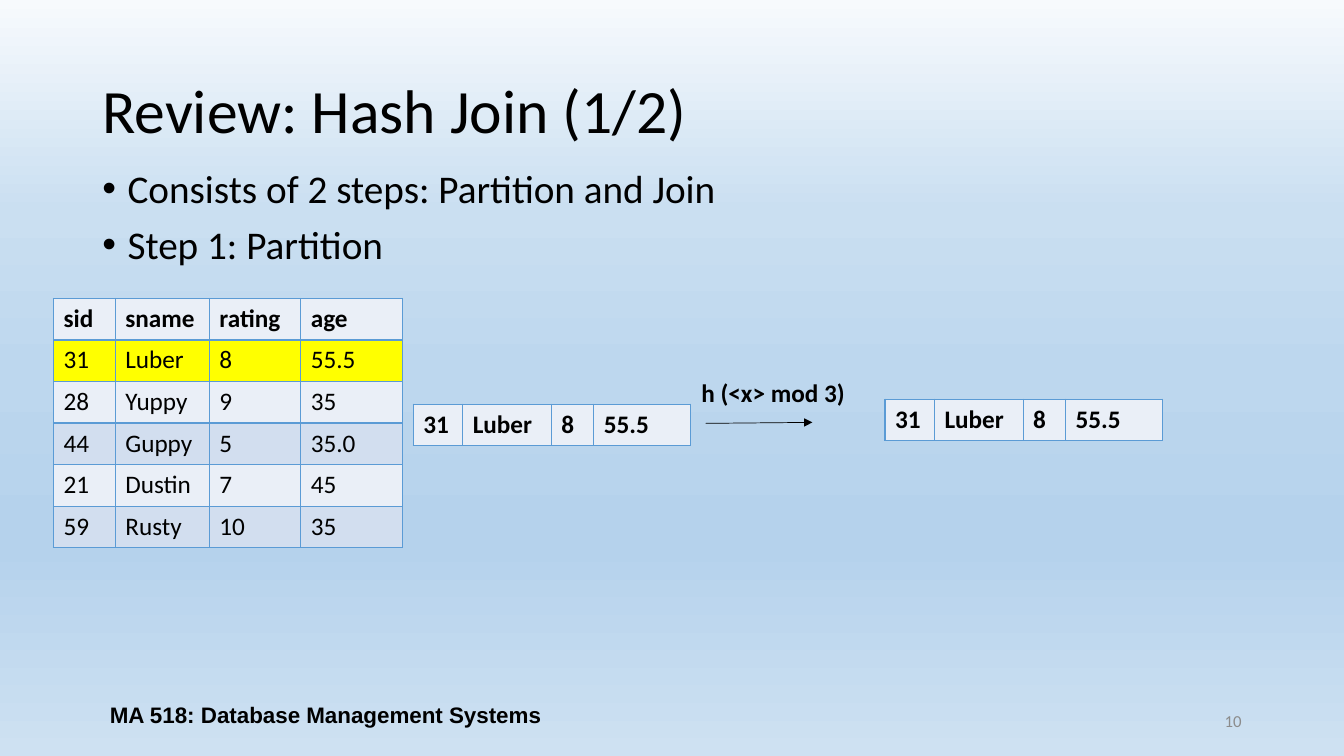
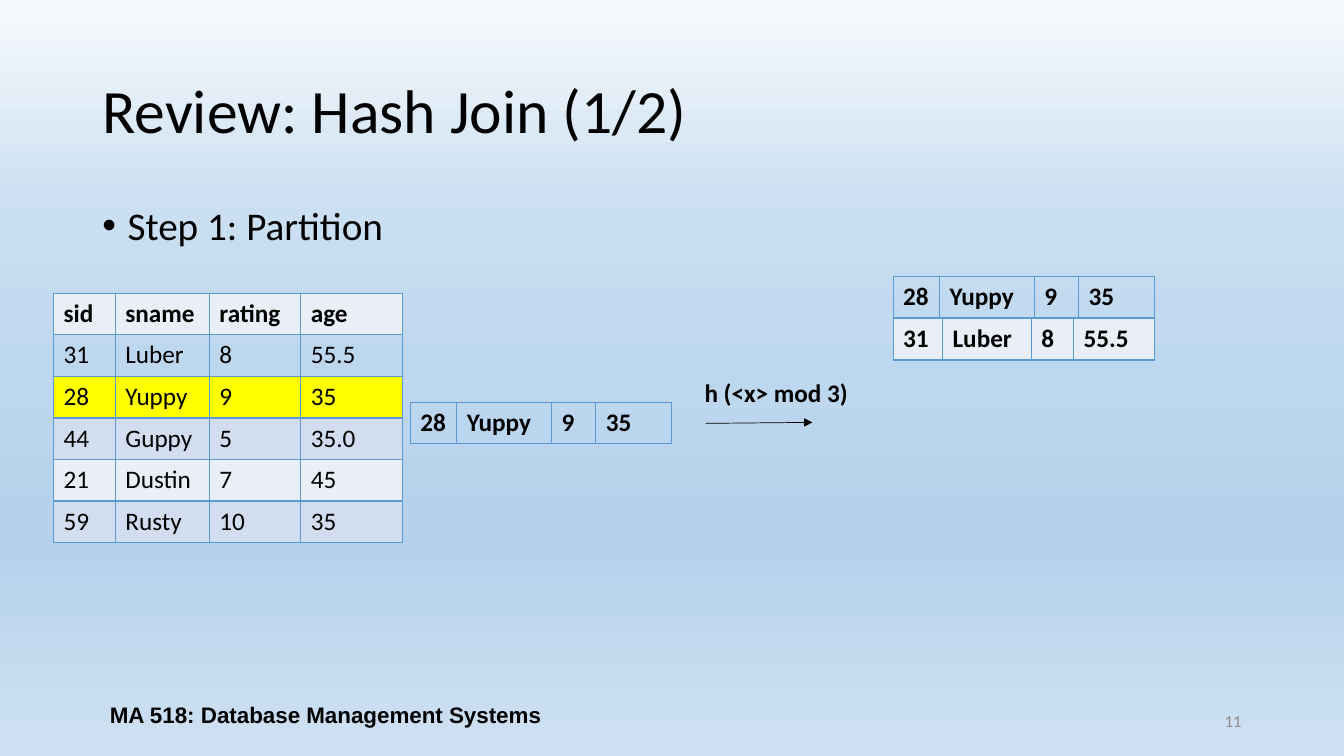
from dataclasses import dataclass
from typing import NamedTuple

from lxml.etree import SubElement
from pptx import Presentation
from pptx.dml.color import RGBColor
from pptx.enum.shapes import MSO_CONNECTOR as Connector
from pptx.enum.text import MSO_ANCHOR as Anchor, PP_ALIGN as Align
from pptx.oxml.ns import qn
from pptx.util import Inches, Pt

SLIDE_WIDTH, SLIDE_HEIGHT = Inches(13.33), Inches(7.5)
GRID_COLUMNS = GRID_ROWS = 100


@dataclass(frozen=True)
class Theme:
    text: str = "000000"
    muted: str = "8C8C8C"
    border: str = "5B9BD5"
    light: str = "EAEFF7"
    band: str = "D2DEEF"
    highlight: str = "FFFF00"
    backdrop: tuple = ((0, "F7FAFD"), (28, "CADFF1"), (49, "BDD7EE"),
                       (71, "B5D2EC"), (72, "B5D2EC"), (100, "CEE1F2"))
    font: str = "Calibri"
    footer_font: str = "Arial"
    title_size: int = 44
    body_size: int = 28
    table_size: int = 18
    footer_size: int = 16
    number_size: int = 12
    row_height: float = 5.5


THEME = Theme()


class Box(NamedTuple):
    left: float
    top: float
    width: float
    height: float


TITLE_BOX = Box(6.88, 5.33, 86.25, 19.33)
NUMBER_BOX = Box(70.63, 92.67, 22.5, 5.33)
FOOTER_BOX = Box(7.35, 91.87, 33.75, 5.33)
HASH_BOX = Box(52.5, 49.2, 7.95, 6.8)

HEADER = ("sid", "sname", "rating", "age")
SAILORS = (
    ("31", "Luber", "8", "55.5"),
    ("28", "Yuppy", "9", "35"),
    ("44", "Guppy", "5", "35.0"),
    ("21", "Dustin", "7", "45"),
    ("59", "Rusty", "10", "35"),
)
LUBER, YUPPY = SAILORS[:2]
RELATION_COLUMNS = (4.6, 7, 6.8, 7.55)
LUBER_COLUMNS = (3.68, 6.6, 3.15, 7.2)
LUBER_NARROW_COLUMNS = (3.68, 6.6, 3.15, 6)
YUPPY_COLUMNS = (3.45, 7.05, 3.3, 5.63)


def across(columns):
    return round(SLIDE_WIDTH * columns / GRID_COLUMNS)


def down(rows):
    return round(SLIDE_HEIGHT * rows / GRID_ROWS)


def place(box):
    return across(box.left), down(box.top), across(box.width), down(box.height)


def add_run(paragraph, text, size, bold=False, color=THEME.text, font=THEME.font):
    run = paragraph.add_run()
    run.text = text
    run.font.name = font
    run.font.size = Pt(size)
    run.font.bold = bold
    run.font.color.rgb = RGBColor.from_string(color)


def add_text(slide, box, text, size, align=Align.LEFT, anchor=Anchor.MIDDLE,
             wrap=True, spacing=None, **style):
    frame = slide.shapes.add_textbox(*place(box)).text_frame
    frame.word_wrap = wrap
    frame.vertical_anchor = anchor
    paragraph = frame.paragraphs[0]
    paragraph.alignment = align
    paragraph.line_spacing = spacing
    add_run(paragraph, text, size, **style)


def add_bullets(slide, box, lines):
    frame = slide.shapes.add_textbox(*place(box)).text_frame
    frame.word_wrap = True
    for index, line in enumerate(lines):
        paragraph = frame.add_paragraph() if index else frame.paragraphs[0]
        paragraph.line_spacing = 0.9
        paragraph.space_before = Pt(10)
        properties = paragraph._p.get_or_add_pPr()
        properties.set("marL", str(Inches(0.25)))
        properties.set("indent", str(-Inches(0.25)))
        SubElement(properties, qn("a:buFont"), typeface="Arial")
        SubElement(properties, qn("a:buChar"), char="•")
        add_run(paragraph, line, THEME.body_size)


def set_borders(cell):
    properties = cell._tc.get_or_add_tcPr()
    for side in ("lnL", "lnR", "lnT", "lnB"):
        line = SubElement(properties, qn(f"a:{side}"), w=str(Pt(1)))
        fill = SubElement(line, qn("a:solidFill"))
        SubElement(fill, qn("a:srgbClr"), val=THEME.border)


def add_grid(slide, left, top, widths, rows, fills, bold_rows=1):
    box = Box(left, top, sum(widths), THEME.row_height * len(rows))
    table = slide.shapes.add_table(len(rows), len(widths), *place(box)).table
    table.first_row = table.horz_banding = False
    for column, width in zip(table.columns, widths):
        column.width = across(width)
    for row_index, (values, color) in enumerate(zip(rows, fills)):
        table.rows[row_index].height = down(THEME.row_height)
        for cell, value in zip(table.rows[row_index].cells, values):
            set_borders(cell)
            if color:
                cell.fill.solid()
                cell.fill.fore_color.rgb = RGBColor.from_string(color)
            else:
                cell.fill.background()
            add_run(cell.text_frame.paragraphs[0], value, THEME.table_size,
                    bold=row_index < bold_rows)


def add_relation(slide, top, active):
    fills = [THEME.light, None, THEME.light, THEME.band, THEME.light, THEME.band]
    fills[active] = THEME.highlight
    add_grid(slide, 3.98, top, RELATION_COLUMNS, (HEADER, *SAILORS), fills)


def add_record(slide, left, top, widths, record, color=None):
    add_grid(slide, left, top, widths, [record], [color])


def add_hash_step(slide, box, label_outset):
    bottom = box.top + box.height
    arrow = slide.shapes.add_connector(
        Connector.STRAIGHT, across(box.left), down(bottom),
        across(box.left + box.width), down(bottom - 0.13))
    arrow.line.color.rgb = RGBColor.from_string(THEME.text)
    arrow.line.width = Pt(0.5)
    SubElement(arrow.line._get_or_add_ln(), qn("a:tailEnd"), type="triangle")
    SubElement(arrow._element.spPr, qn("a:effectLst"))
    label_box = Box(box.left - label_outset, box.top, 12.3, 5.33)
    add_text(slide, label_box, "h (<x> mod 3)", THEME.table_size,
             anchor=Anchor.TOP, wrap=False, bold=True)


def set_backdrop(master):
    fill = master.background.fill
    fill.gradient()
    fill.gradient_angle = 270
    stops = next(master.element.iter(qn("a:gsLst")))
    for stop in list(stops):
        stops.remove(stop)
    for position, color in THEME.backdrop:
        stop = SubElement(stops, qn("a:gs"), pos=str(position * 1000))
        SubElement(stop, qn("a:srgbClr"), val=color)


def add_partition_slide(presentation, number, bullets, bullets_top):
    slide = presentation.slides.add_slide(presentation.slide_layouts[6])
    add_text(slide, TITLE_BOX, "Review: Hash Join (1/2)", THEME.title_size, spacing=0.9)
    add_bullets(slide, Box(TITLE_BOX.left, bullets_top, TITLE_BOX.width, 63.47), bullets)
    add_text(slide, NUMBER_BOX, str(number), THEME.number_size,
             align=Align.RIGHT, color=THEME.muted)
    add_text(slide, FOOTER_BOX, "MA 518: Database Management Systems",
             THEME.footer_size, align=Align.CENTER, bold=True, font=THEME.footer_font)
    return slide


def build_first_record(presentation):
    slide = add_partition_slide(
        presentation, 10,
        ("Consists of 2 steps: Partition and Join", "Step 1: Partition"), 21.73)
    add_relation(slide, 39.47, active=1)
    add_record(slide, 30.75, 53.47, LUBER_COLUMNS, LUBER, THEME.light)
    add_record(slide, 65.85, 52.8, LUBER_COLUMNS, LUBER, THEME.light)
    add_hash_step(slide, HASH_BOX, 1.05)


def build_second_record(presentation):
    slide = add_partition_slide(presentation, 11, ("Step 1: Partition",), 26.67)
    add_relation(slide, 38.8, active=2)
    add_record(slide, 66.45, 42.13, LUBER_NARROW_COLUMNS, LUBER, THEME.light)
    add_record(slide, 30.53, 53.2, YUPPY_COLUMNS, YUPPY)
    add_record(slide, 66.45, 36.53, YUPPY_COLUMNS, YUPPY)
    add_hash_step(slide, HASH_BOX, 0.82)


def main():
    presentation = Presentation()
    presentation.slide_width, presentation.slide_height = SLIDE_WIDTH, SLIDE_HEIGHT
    set_backdrop(presentation.slide_master)
    build_first_record(presentation)
    build_second_record(presentation)
    presentation.save("out.pptx")


main()
